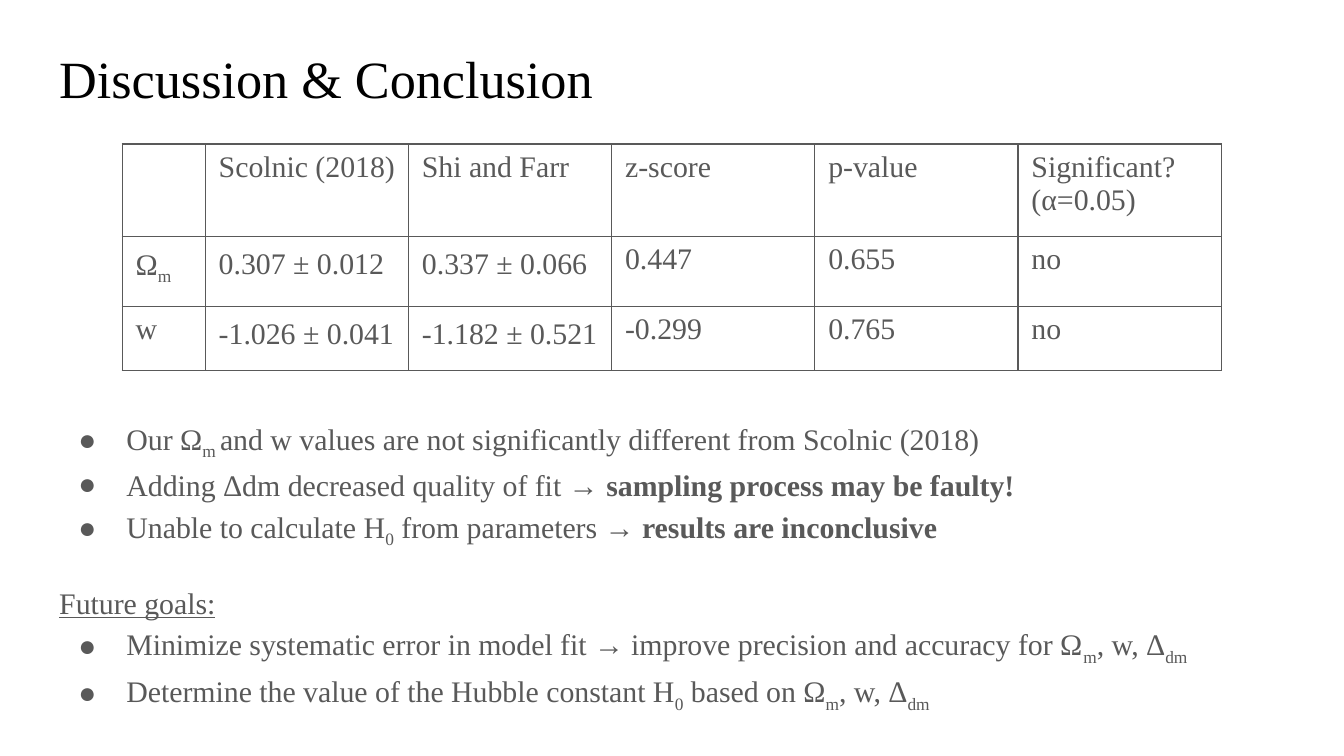
from dataclasses import dataclass

from lxml import etree
from pptx import Presentation
from pptx.dml.color import RGBColor
from pptx.oxml import ns
from pptx.util import Cm, Pt


@dataclass(frozen=True)
class Theme:
    face: str = "Times New Roman"
    ink: str = "000000"
    gray: str = "595959"
    head: int = 28
    body: int = 16
    rule: float = 0.75
    lead: float = 1.15


THEME = Theme()

ROWS = [
    ["", "Scolnic (2018)", "Shi and Farr", "z-score", "p-value", "Significant?\n(α=0.05)"],
    ["Ω~m~", "0.307 ± 0.012", "0.337 ± 0.066", "0.447", "0.655", "no"],
    ["w", "-1.026 ± 0.041", "-1.182 ± 0.521", "-0.299", "0.765", "no"],
]
WIDTHS = [1.57] + [3.84] * 5
HEIGHTS = [1.75, 1.32, 1.22]

FINDINGS = [
    "Our Ω~m ~and w values are not significantly different from Scolnic (2018)",
    "Adding Δdm decreased quality of fit → *sampling process may be faulty!*",
    "Unable to calculate H~0~ from parameters → *results are inconclusive*",
]
GOALS = [
    "Minimize systematic error in model fit → improve precision and accuracy for Ω~m~, w, Δ~dm~",
    "Determine the value of the Hubble constant H~0~ based on Ω~m~, w, Δ~dm~",
]


def add_tag(parent, name, **attrs):
    return etree.SubElement(parent, ns.qn(name), attrs)


def add_color(parent, color):
    add_tag(parent, "a:srgbClr", val=color)


def write(para, markup, size=THEME.body, color=THEME.gray):
    """Fill a paragraph; *bold* and ~subscript~ are marked in the text."""
    para.font.name = THEME.face
    para.font.size = Pt(size)
    para.font.color.rgb = RGBColor.from_string(color)
    for i, chunk in enumerate(markup.split("*")):
        for j, part in enumerate(chunk.split("~")):
            if not part:
                continue
            run = para.add_run()
            run.text = part
            if i % 2:
                run.font.bold = True
            if j % 2:
                run.font._element.set("baseline", "-25000")


def add_bullet(para):
    props = para._p.get_or_add_pPr()
    props.set("marL", str(Cm(1.27)))
    props.set("indent", str(-Cm(0.91)))
    add_color(add_tag(props, "a:buClr"), THEME.gray)
    add_tag(props, "a:buFont", typeface=THEME.face)
    add_tag(props, "a:buChar", char="●")


def add_box(slide, left, top, width, height):
    frame = slide.shapes.add_textbox(Cm(left), Cm(top), Cm(width), Cm(height)).text_frame
    frame.word_wrap = True
    frame.margin_left = frame.margin_right = Cm(0.25)
    frame.margin_top = frame.margin_bottom = Cm(0.25)
    return frame


def add_title(slide, title):
    frame = add_box(slide, 0.87, 0.62, 23.67, 1.59)
    write(frame.paragraphs[0], title, THEME.head, THEME.ink)


def add_notes(slide):
    frame = add_box(slide, 0.87, 7.58, 23.67, 5.82)
    label = "Future goals:"
    for i, line in enumerate(FINDINGS + [label] + GOALS):
        para = frame.add_paragraph() if i else frame.paragraphs[0]
        if line == label:
            para.space_before = Pt(THEME.body)
            para.font.underline = True
        else:
            add_bullet(para)
        para.line_spacing = THEME.lead
        write(para, line)


def style_cell(cell):
    props = cell._tc.get_or_add_tcPr()
    for side in ("L", "R", "T", "B"):
        line = add_tag(props, f"a:ln{side}", w=str(Pt(THEME.rule)))
        add_color(add_tag(line, "a:solidFill"), THEME.gray)
    cell.fill.background()


def add_grid(slide):
    frame = slide.shapes.add_table(
        len(ROWS), len(WIDTHS), Cm(2.31), Cm(2.72), Cm(sum(WIDTHS)), Cm(sum(HEIGHTS))
    )
    table = frame.table
    table.first_row = table.horz_banding = False
    for col, width in zip(table.columns, WIDTHS):
        col.width = Cm(width)
    for row, height, texts in zip(table.rows, HEIGHTS, ROWS):
        row.height = Cm(height)
        for cell, markup in zip(row.cells, texts):
            style_cell(cell)
            for i, line in enumerate(markup.split("\n")):
                body = cell.text_frame
                para = body.add_paragraph() if i else body.paragraphs[0]
                if "±" in line or "~" in line:
                    para.line_spacing = THEME.lead
                write(para, line)


def main():
    deck = Presentation()
    deck.slide_width, deck.slide_height = Cm(25.4), Cm(14.29)
    slide = deck.slides.add_slide(deck.slide_layouts[6])
    add_title(slide, "Discussion & Conclusion")
    add_notes(slide)
    add_grid(slide)
    deck.save("out.pptx")


if __name__ == "__main__":
    main()
